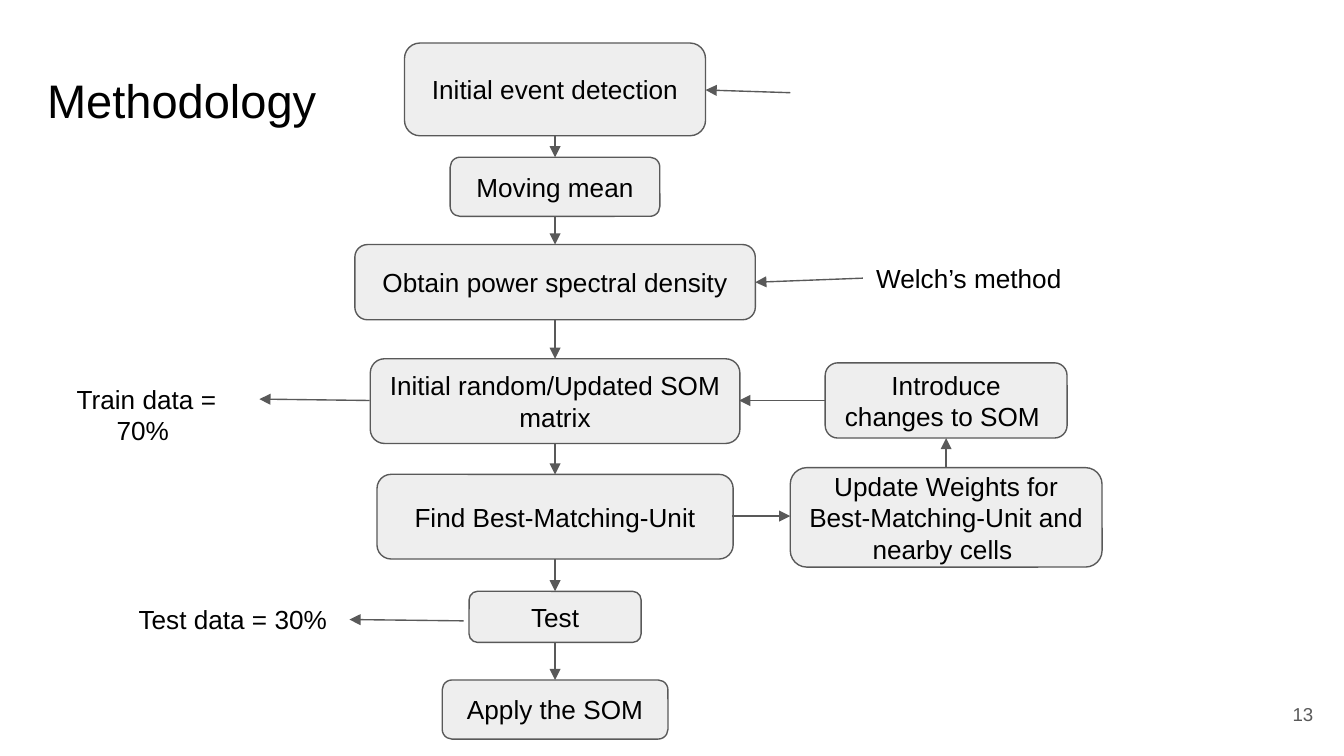
from lxml import etree
from pptx import Presentation
from pptx import util as u
from pptx.dml.color import RGBColor
from pptx.enum import shapes, text
from pptx.oxml.ns import qn

BLACK = RGBColor(0x00, 0x00, 0x00)
GRAY = RGBColor(0x59, 0x59, 0x59)
PALE = RGBColor(0xEE, 0xEE, 0xEE)
LEFT, CENTER, RIGHT = text.PP_ALIGN.LEFT, text.PP_ALIGN.CENTER, text.PP_ALIGN.RIGHT
TOP, MIDDLE = text.MSO_ANCHOR.TOP, text.MSO_ANCHOR.MIDDLE

# Centres of the two columns of the flowchart
MAIN_X, LOOP_X = 4.13, 7.04

# Column centre, top, width, height, label
MAIN_STEPS = [
    (MAIN_X, 0.32, 2.24, 0.69, "Initial event detection"),
    (MAIN_X, 1.17, 1.56, 0.44, "Moving mean"),
    (MAIN_X, 1.82, 2.98, 0.56, "Obtain power spectral density"),
    (MAIN_X, 2.67, 2.75, 0.63, "Initial random/Updated SOM matrix"),
    (MAIN_X, 3.53, 2.65, 0.63, "Find Best-Matching-Unit"),
    (MAIN_X, 4.4, 1.28, 0.38, "Test"),
    (MAIN_X, 5.06, 1.68, 0.44, "Apply the SOM"),
]
LOOP_STEPS = [
    (LOOP_X, 2.7, 1.8, 0.56, "Introduce changes to SOM "),
    (LOOP_X, 3.48, 2.32, 0.74, "Update Weights for Best-Matching-Unit and nearby cells "),
]
# Left, top, width, height, label, alignment
NOTES = [
    (6.42, 1.85, 1.68, 0.44, "Welch’s method", LEFT),
    (0.27, 2.75, 1.64, 0.44, "Train data = 70% ", CENTER),
    (0.92, 4.39, 1.68, 0.44, "Test data = 30% ", CENTER),
]
# Start and end of the arrows beside the main column
SIDE_ARROWS = [
    ((5.45, 3.84), (5.88, 3.84)),
    ((6.14, 2.98), (5.5, 2.98)),
    ((LOOP_X, 3.48), (LOOP_X, 3.26)),
    ((5.88, 0.69), (5.25, 0.67)),
    ((6.42, 2.07), (5.62, 2.1)),
    ((2.75, 2.98), (1.93, 2.97)),
    ((3.45, 4.62), (2.6, 4.61)),
]


def write(sp, words, size=14, color=BLACK, align=CENTER, anchor=MIDDLE):
    tf = sp.text_frame
    tf.word_wrap = True
    tf.auto_size = text.MSO_AUTO_SIZE.NONE
    tf.vertical_anchor = anchor
    tf.margin_left = tf.margin_right = u.Inches(0.1)
    tf.margin_top = tf.margin_bottom = u.Inches(0.1)
    p = tf.paragraphs[0]
    p.alignment = align
    r = p.add_run()
    r.text = words
    r.font.name = "Arial"
    r.font.size = u.Pt(size)
    r.font.color.rgb = color


def add_title(s, words):
    sp = s.shapes.title
    sp.left, sp.top, sp.width, sp.height = map(u.Inches, (0.25, 0.43, 9.32, 0.63))
    write(sp, words, size=25.2, align=LEFT, anchor=TOP)


def add_step(s, center, top, width, height, words):
    sp = s.shapes.add_shape(
        shapes.MSO_SHAPE.ROUNDED_RECTANGLE,
        *map(u.Inches, (center - width / 2, top, width, height)))
    sp.shadow.inherit = False
    sp.fill.solid()
    sp.fill.fore_color.rgb = PALE
    sp.line.color.rgb = GRAY
    sp.line.width = u.Pt(0.75)
    write(sp, words)


def add_note(s, left, top, width, height, words, **fmt):
    sp = s.shapes.add_textbox(*map(u.Inches, (left, top, width, height)))
    write(sp, words, **fmt)


def add_arrow(s, start, end):
    arrow = s.shapes.add_connector(
        shapes.MSO_CONNECTOR.STRAIGHT, *map(u.Inches, (*start, *end)))
    arrow.line.color.rgb = GRAY
    arrow.line.width = u.Pt(0.75)
    props = arrow._element.spPr
    etree.SubElement(props.find(qn("a:ln")), qn("a:tailEnd"), type="triangle")
    etree.SubElement(props, qn("a:effectLst"))


def main():
    # Widescreen page, 16 to 9
    prs = Presentation()
    prs.slide_width = u.Inches(10)
    prs.slide_height = prs.slide_width * 9 // 16
    s = prs.slides.add_slide(prs.slide_layouts[5])

    # Title and page number
    add_title(s, "Methodology")
    add_note(s, 9.27, 5.1, 0.6, 0.43, "13", size=10, color=GRAY, align=RIGHT)

    # Steps of the method
    for step in MAIN_STEPS + LOOP_STEPS:
        add_step(s, *step)

    # Arrows from each main step down to the next
    for (_, top, _, height, _), following in zip(MAIN_STEPS, MAIN_STEPS[1:]):
        add_arrow(s, (MAIN_X, top + height), (MAIN_X, following[1]))
    for start, end in SIDE_ARROWS:
        add_arrow(s, start, end)

    # Notes at the sides
    for *box, words, align in NOTES:
        add_note(s, *box, words, align=align, anchor=TOP)

    prs.save("out.pptx")


if __name__ == "__main__":
    main()
